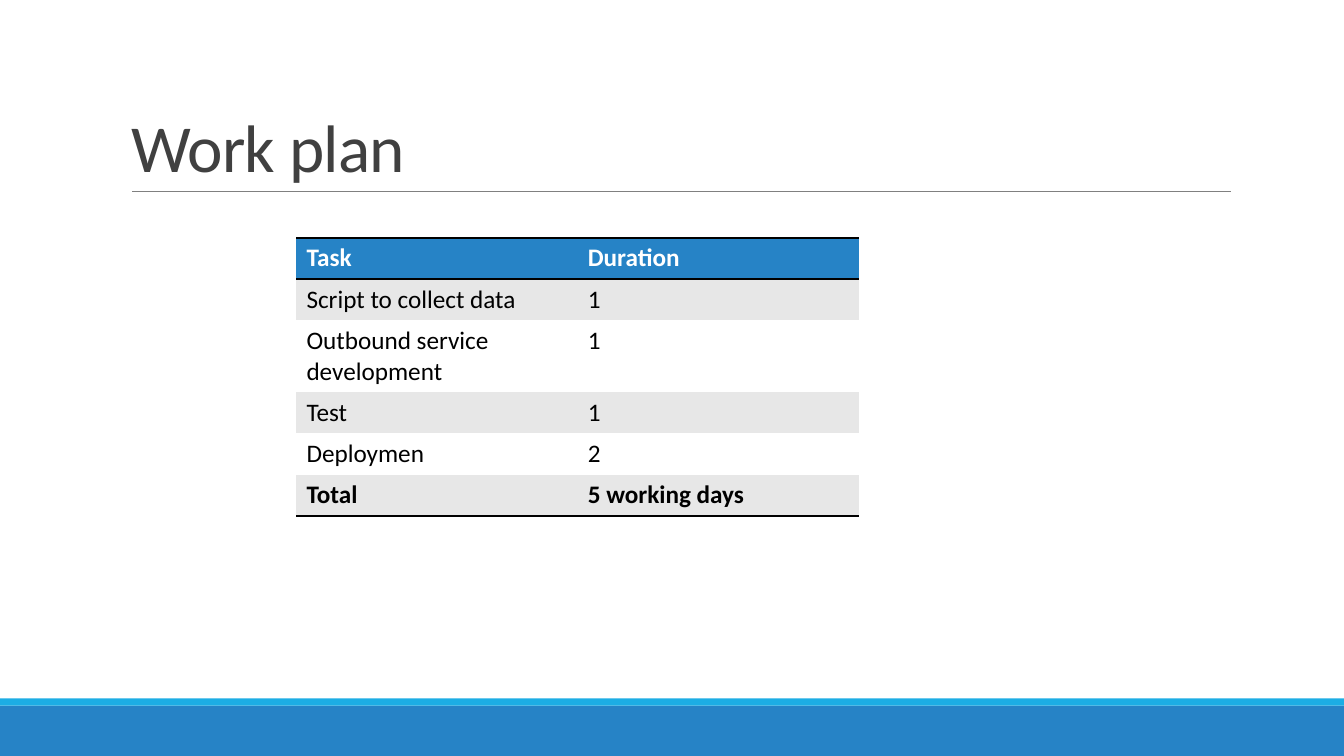
import pptx
import pptx.util
import pptx.dml.color
import pptx.enum.shapes
import pptx.enum.text
import pptx.oxml
import pptx.oxml.ns
import pptx.oxml.xmlchemy

Inches = pptx.util.Inches
Pt = pptx.util.Pt
RGBColor = pptx.dml.color.RGBColor
qn = pptx.oxml.ns.qn

BLUE = RGBColor(0x26, 0x83, 0xC6)
CYAN = RGBColor(0x1C, 0xAD, 0xE4)
GREY = RGBColor(0x80, 0x80, 0x80)
DARK = RGBColor(0x40, 0x40, 0x40)
PALE = RGBColor(0xE7, 0xE7, 0xE7)
WHITE = RGBColor(0xFF, 0xFF, 0xFF)
BLACK = RGBColor(0, 0, 0)
PLAIN = "{2D5ABB26-0587-4C30-8999-92F81FD0307C}"  # table style without grid

TASKS = [
    ("Task", "Duration"),
    ("Script to collect data", "1"),
    ("Outbound service development", "1"),
    ("Test", "1"),
    ("Deploymen", "2"),
    ("Total", "5 working days"),
]


def write(frame, text, size=18, color=BLACK, bold=False, space=None, track=None):
    """Fill a text frame with one formatted run."""
    para = frame.paragraphs[0]
    para.alignment = pptx.enum.text.PP_ALIGN.LEFT
    para.line_spacing = space
    run = para.add_run()
    run.text = text
    font = run.font
    font.name, font.size, font.bold = "Calibri", Pt(size), bold
    font.color.rgb = color
    if track is not None:
        run.font._element.set("spc", str(round(track * 100)))


def edge(cell, side):
    """Draw a black rule on one side of a cell."""
    props = cell._tc.get_or_add_tcPr()
    props.append(pptx.oxml.parse_xml(
        f'<a:{side} xmlns:a="http://schemas.openxmlformats.org/drawingml/2006/main"'
        f' w="{Pt(2)}"><a:solidFill><a:srgbClr val="{BLACK}"/></a:solidFill></a:{side}>'))


class Deck:
    def __init__(self):
        self.show = pptx.Presentation()
        self.show.slide_width = Inches(13.33)
        self.show.slide_height = Inches(7.5)
        self.slide = self.show.slides.add_slide(self.show.slide_layouts[5])
        self.shapes = self.slide.shapes

    def band(self, top, height, color):
        kind = pptx.enum.shapes.MSO_SHAPE.RECTANGLE
        band = self.shapes.add_shape(
            kind, 0, Inches(top), self.show.slide_width, Inches(height))
        band.shadow.inherit = False
        band.fill.solid()
        band.fill.fore_color.rgb = color
        band.line.fill.background()

    def rule(self, left, right, top):
        kind = pptx.enum.shapes.MSO_CONNECTOR.STRAIGHT
        rule = self.shapes.add_connector(
            kind, Inches(left), Inches(top), Inches(right), Inches(top))
        rule.line.color.rgb = GREY
        rule.line.width = Pt(0.5)
        rule._element.spPr.append(pptx.oxml.xmlchemy.OxmlElement("a:effectLst"))

    def title(self, text):
        title = self.shapes.title
        title.left, title.top = Inches(1.2), Inches(0.31)
        title.width, title.height = Inches(11), Inches(1.59)
        frame = title.text_frame
        frame.word_wrap = True
        frame.auto_size = pptx.enum.text.MSO_AUTO_SIZE.NONE
        frame.vertical_anchor = pptx.enum.text.MSO_ANCHOR.BOTTOM
        write(frame, text, size=48, color=DARK, space=0.85, track=-0.5)

    def table(self, rows, left, top, width, high, tall):
        last = len(rows) - 1
        holder = self.shapes.add_table(
            len(rows), len(rows[0]), Inches(left), Inches(top),
            Inches(width), Inches(high * last + tall))
        table = holder.table
        next(holder._element.iter(qn("a:tableStyleId"))).text = PLAIN
        for i, row in enumerate(rows):
            # The row with a two-line task is taller
            table.rows[i].height = Inches(tall if len(row[0]) > 25 else high)
            for j, text in enumerate(row):
                cell = table.cell(i, j)
                if i == 0:
                    edge(cell, "lnT")
                if i in (0, last):
                    edge(cell, "lnB")
                cell.fill.solid()
                cell.fill.fore_color.rgb = BLUE if i == 0 else PALE if i % 2 else WHITE
                write(cell.text_frame, text, bold=i in (0, last),
                      color=WHITE if i == 0 else BLACK)


def main():
    deck = Deck()
    # Footer bands and title rule
    deck.band(7, 0.5, BLUE)
    deck.band(6.93, 0.07, CYAN)
    deck.rule(1.31, 12.21, 1.9)
    # Title and task table
    deck.title("Work plan")
    deck.table(TASKS, 2.94, 2.36, 5.58, 0.41, 0.71)
    deck.show.save("out.pptx")


if __name__ == "__main__":
    main()
